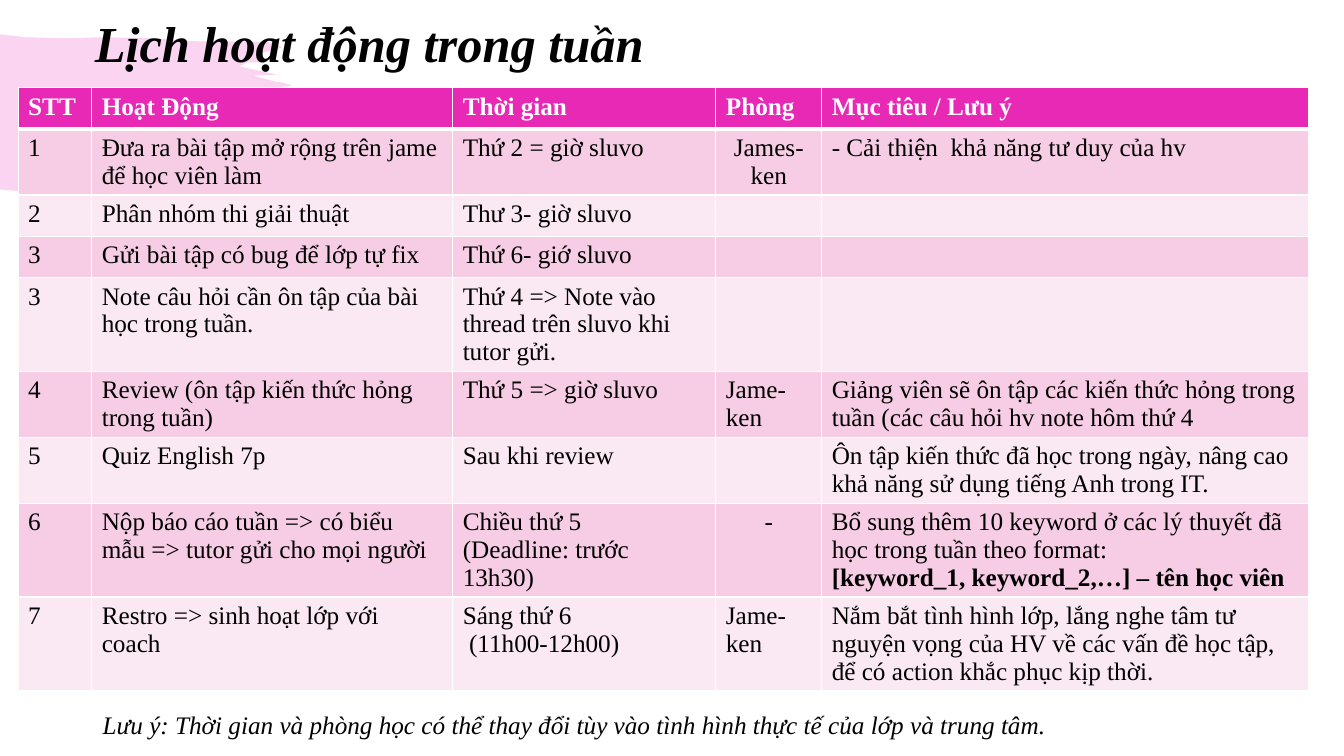
from dataclasses import dataclass

from lxml import etree
from pptx import Presentation
from pptx.dml.color import RGBColor
from pptx.enum.text import MSO_ANCHOR, MSO_AUTO_SIZE, PP_ALIGN
from pptx.oxml.ns import qn
from pptx.util import Emu, Pt

LEFT, CENTER = PP_ALIGN.LEFT, PP_ALIGN.CENTER
MIDDLE = MSO_ANCHOR.MIDDLE
NO_AUTOFIT, FIT_SHAPE = MSO_AUTO_SIZE.NONE, MSO_AUTO_SIZE.SHAPE_TO_FIT_TEXT
EMU_PER_PX = 9144  # 100 px to the inch


@dataclass(frozen=True)
class Theme:
    font: str = "Times New Roman"
    title_size: int = 36
    text_size: int = 18
    ink: str = "000000"
    white: str = "FFFFFF"
    accent: str = "E729B5"
    accent_opacity: int = 20
    odd_row: str = "F6CDE5"
    even_row: str = "FAE8F3"
    grid_width: int = 1
    header_rule_width: int = 3


@dataclass(frozen=True)
class Cell:
    text: str = ""
    align: PP_ALIGN = LEFT
    bold_line: str = ""


@dataclass(frozen=True)
class Row:
    lines: int
    cells: tuple[Cell, ...]


THEME = Theme()

COLUMN_WIDTHS = (73, 358, 261, 105, 483)
ROW_HEIGHTS = {1: 41, 2: 65, 3: 93}  # by lines of text
HEADER = Row(1, (Cell("STT"), Cell("Hoạt Động"), Cell("Thời gian"),
                 Cell("Phòng"), Cell("Mục tiêu / Lưu ý")))
ACTIVITIES = (
    Row(2, (Cell("1"), Cell("Đưa ra bài tập mở rộng trên jame để học viên làm"),
            Cell("Thứ 2 = giờ sluvo"), Cell("James-ken", CENTER),
            Cell("- Cải thiện  khả năng tư duy của hv"))),
    Row(1, (Cell("2"), Cell("Phân nhóm thi giải thuật"),
            Cell("Thư 3- giờ sluvo"), Cell(), Cell())),
    Row(1, (Cell("3"), Cell("Gửi bài tập có bug để lớp tự fix"),
            Cell("Thứ 6- giớ sluvo"), Cell(), Cell())),
    Row(3, (Cell("3"), Cell("Note câu hỏi cần ôn tập của bài học trong tuần."),
            Cell("Thứ 4 => Note vào thread trên sluvo khi tutor gửi."), Cell(), Cell())),
    Row(2, (Cell("4"), Cell("Review (ôn tập kiến thức hỏng trong tuần)"),
            Cell("Thứ 5 => giờ sluvo"), Cell("Jame-ken"),
            Cell("Giảng viên sẽ ôn tập các kiến thức hỏng trong tuần "
                 "(các câu hỏi hv note hôm thứ 4"))),
    Row(2, (Cell("5"), Cell("Quiz English 7p"), Cell("Sau khi review"), Cell(),
            Cell("Ôn tập kiến thức đã học trong ngày, nâng cao khả năng "
                 "sử dụng tiếng Anh trong IT."))),
    Row(3, (Cell("6"), Cell("Nộp báo cáo tuần => có biểu mẫu => tutor gửi cho mọi người"),
            Cell("Chiều thứ 5\n(Deadline: trước 13h30)"), Cell("-", CENTER),
            Cell("Bổ sung thêm 10 keyword ở các lý thuyết đã học trong tuần theo format:",
                 bold_line="[keyword_1, keyword_2,…] – tên học viên"))),
    Row(3, (Cell("7"), Cell("Restro => sinh hoạt lớp với coach"),
            Cell("Sáng thứ 6\n (11h00-12h00)"), Cell("Jame-ken"),
            Cell("Nắm bắt tình hình lớp, lắng nghe tâm tư nguyện vọng của HV về "
                 "các vấn đề học tập, để có action khắc phục kịp thời."))),
)

# Brush stroke: top edge, ragged right end, lower edge
BRUSH_OUTLINE = (
    (25, 37), (66, 38), (102, 37), (151, 38), (194, 41), (248, 41), (268, 42), (280, 47),
    (255, 54), (262, 62), (245, 62), (238, 66), (256, 70), (275, 74), (251, 75),
    (273, 81), (280, 82), (290, 85), (263, 88), (330, 94), (280, 120), (308, 128),
    (252, 148), (197, 172), (102, 188), (65, 191), (23, 190), (0, 188),
)


def px(length: int) -> Emu:
    return Emu(length * EMU_PER_PX)


def place(shape, left: int, top: int, width: int, height: int) -> None:
    shape.left, shape.top, shape.width, shape.height = map(px, (left, top, width, height))


def write(paragraph, text: str, *, size: int = THEME.text_size, color: str = THEME.ink,
          bold: bool = False, italic: bool = False, align: PP_ALIGN = LEFT) -> None:
    paragraph.alignment = align
    run = paragraph.add_run()
    run.text = text
    font = run.font
    font.name, font.size, font.bold, font.italic = THEME.font, Pt(size), bold, italic
    font.color.rgb = RGBColor.from_string(color)


def draw_brush(slide) -> None:
    builder = slide.shapes.build_freeform(0, 34, scale=EMU_PER_PX)
    builder.add_line_segments(BRUSH_OUTLINE, close=True)
    brush = builder.convert_to_shape()
    brush.shadow.inherit = False
    brush.line.fill.background()
    brush.fill.solid()
    brush.fill.fore_color.rgb = RGBColor.from_string(THEME.accent)
    color = brush._element.spPr.find(".//" + qn("a:srgbClr"))
    etree.SubElement(color, qn("a:alpha"), val=str(THEME.accent_opacity * 1000))
    # Send the stroke behind the title
    slide.shapes.title._element.addprevious(brush._element)


def draw_title(slide) -> None:
    title = slide.shapes.title
    place(title, 84, 15, 1150, 61)
    frame = title.text_frame
    frame.word_wrap, frame.auto_size, frame.vertical_anchor = True, NO_AUTOFIT, MIDDLE
    paragraph = frame.paragraphs[0]
    paragraph.line_spacing = 0.9
    write(paragraph, "Lịch hoạt động trong tuần", size=THEME.title_size, bold=True, italic=True)


def set_borders(table_cell, bottom_width: int) -> None:
    properties = table_cell._tc.get_or_add_tcPr()
    for side in "LRTB":
        width = bottom_width if side == "B" else THEME.grid_width
        line = etree.SubElement(properties, qn(f"a:ln{side}"), w=str(Pt(width)))
        fill = etree.SubElement(line, qn("a:solidFill"))
        etree.SubElement(fill, qn("a:srgbClr"), val=THEME.white)


def fill_cell(table_cell, cell: Cell, fill: str, header: bool) -> None:
    set_borders(table_cell, THEME.header_rule_width if header else THEME.grid_width)
    table_cell.fill.solid()
    table_cell.fill.fore_color.rgb = RGBColor.from_string(fill)
    if not cell.text:
        return
    frame = table_cell.text_frame
    for index, text in enumerate(cell.text.split("\n")):
        paragraph = frame.add_paragraph() if index else frame.paragraphs[0]
        write(paragraph, text, color=THEME.white if header else THEME.ink,
              bold=header, align=cell.align)
    if cell.bold_line:
        paragraph.add_line_break()
        write(paragraph, cell.bold_line, bold=True)


def draw_schedule(slide) -> None:
    rows = (HEADER, *ACTIVITIES)
    heights = [ROW_HEIGHTS[row.lines] for row in rows]
    table = slide.shapes.add_table(len(rows), len(COLUMN_WIDTHS), px(18), px(87),
                                   px(sum(COLUMN_WIDTHS)), px(sum(heights))).table
    for column, width in zip(table.columns, COLUMN_WIDTHS):
        column.width = px(width)
    for number, row in enumerate(rows):
        table.rows[number].height = px(heights[number])
        band = THEME.odd_row if number % 2 else THEME.even_row
        for position, cell in enumerate(row.cells):
            fill_cell(table.cell(number, position), cell,
                      band if number else THEME.accent, header=number == 0)


def draw_note(slide) -> None:
    note = slide.shapes.add_textbox(px(92), px(699), px(1134), px(40))
    frame = note.text_frame
    frame.word_wrap, frame.auto_size = True, FIT_SHAPE
    write(frame.paragraphs[0], "Lưu ý: Thời gian và phòng học có thể thay đổi tùy vào "
          "tình hình thực tế của lớp và trung tâm.", italic=True)


def main() -> None:
    presentation = Presentation()
    presentation.slide_width, presentation.slide_height = px(1333), px(750)
    slide = presentation.slides.add_slide(presentation.slide_layouts[5])
    draw_brush(slide)
    draw_title(slide)
    draw_schedule(slide)
    draw_note(slide)
    presentation.save("out.pptx")


if __name__ == "__main__":
    main()
